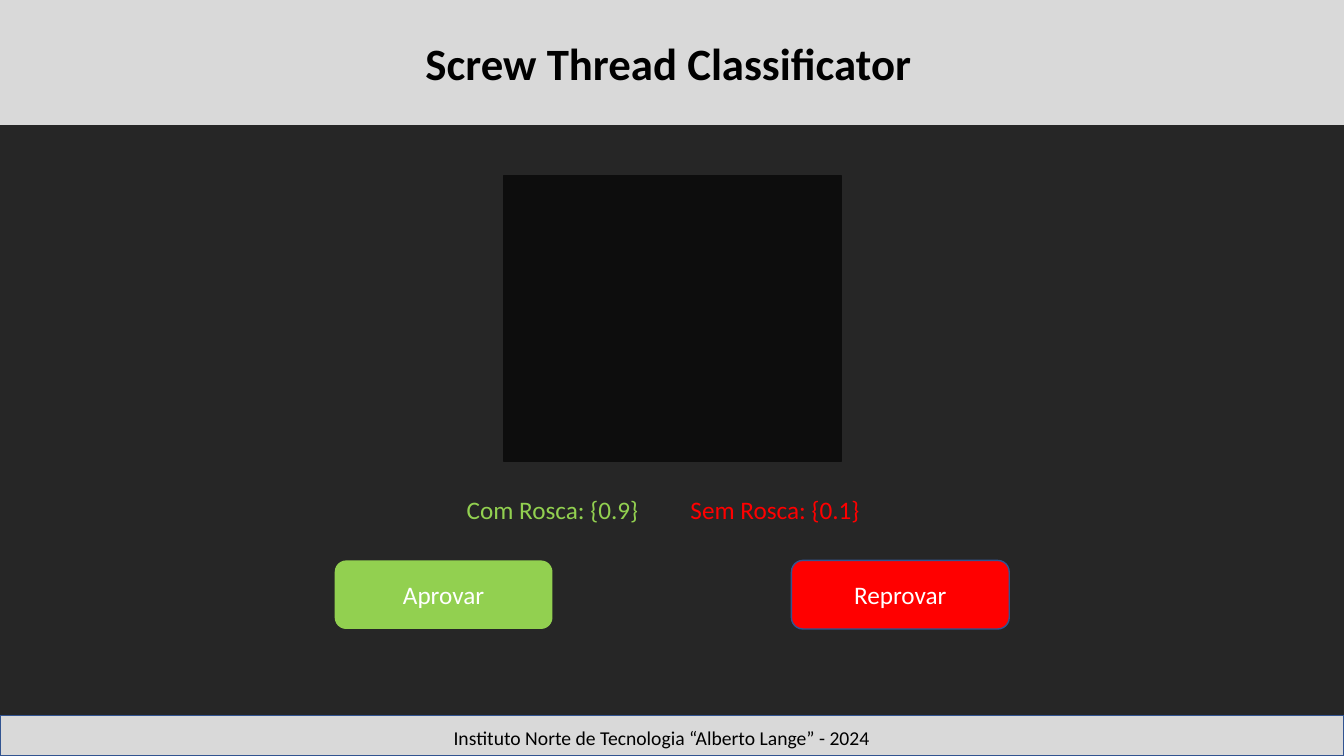
import pptx
import pptx.util
import pptx.dml.color
import pptx.enum.shapes
import pptx.enum.text

RGB = pptx.dml.color.RGBColor
FORM = pptx.enum.shapes.MSO_SHAPE
ALIGN = pptx.enum.text.PP_ALIGN
MID = pptx.enum.text.MSO_ANCHOR.MIDDLE
TOP = pptx.enum.text.MSO_ANCHOR.TOP

DARK = RGB(0x26, 0x26, 0x26)
GREY = RGB(0xD9, 0xD9, 0xD9)
NIGHT = RGB(0x0D, 0x0D, 0x0D)
GREEN = RGB(0x92, 0xD0, 0x50)
RED = RGB(0xFF, 0x00, 0x00)
BLUE = RGB(0x32, 0x54, 0x91)
WHITE = RGB(0xFF, 0xFF, 0xFF)
BLACK = RGB(0x00, 0x00, 0x00)

SCALE = 9144
WIDE, HIGH = 1333, 750


def px(*sizes):
    return [size * SCALE for size in sizes]


def write(frame, text, size=18, color=BLACK, bold=False, align=ALIGN.LEFT, anchor=TOP):
    frame.word_wrap = True
    frame.auto_size = pptx.enum.text.MSO_AUTO_SIZE.NONE
    frame.vertical_anchor = anchor
    line = frame.paragraphs[0]
    line.alignment = align
    run = line.add_run()
    run.text = text
    run.font.name = "Calibri"
    run.font.size = pptx.util.Pt(size)
    run.font.bold = bold
    run.font.color.rgb = color


class Screen:
    def __init__(self, deck):
        self.slide = deck.slides.add_slide(deck.slide_layouts[5])
        self.shapes = self.slide.shapes

    def block(self, x, y, w, h, fill, edge=None, form=FORM.RECTANGLE):
        shape = self.shapes.add_shape(form, *px(x, y, w, h))
        shape.shadow.inherit = False
        shape.fill.solid()
        shape.fill.fore_color.rgb = fill
        if edge is None:
            shape.line.fill.background()
        else:
            shape.line.color.rgb = edge
            shape.line.width = pptx.util.Pt(1)
        return shape

    def button(self, x, text, fill, edge=None):
        shape = self.block(x, 556, 216, 68, fill, edge, FORM.ROUNDED_RECTANGLE)
        write(shape.text_frame, text, color=WHITE, align=ALIGN.CENTER, anchor=MID)

    def label(self, x, y, w, h, text, **style):
        box = self.shapes.add_textbox(*px(x, y, w, h))
        write(box.text_frame, text, **style)

    def title(self, x, y, w, h, text, **style):
        head = self.shapes.title
        head.left, head.top, head.width, head.height = px(x, y, w, h)
        write(head.text_frame, text, **style)
        head.element.getparent().append(head.element)


def main():
    deck = pptx.Presentation()
    deck.slide_width, deck.slide_height = px(WIDE, HIGH)
    screen = Screen(deck)

    screen.block(0, 0, WIDE, HIGH, DARK)
    screen.block(0, 0, WIDE, 124, GREY)
    screen.block(500, 174, 334, 284, NIGHT, NIGHT)
    screen.button(332, "Aprovar", GREEN)
    screen.button(785, "Reprovar", RED, BLUE)
    screen.block(0, 710, WIDE, 40, GREY, BLUE)

    screen.title(412, 30, 509, 64, "Screw Thread Classificator", size=32, bold=True)
    screen.label(440, 715, 452, 34, "Instituto Norte de Tecnologia “Alberto Lange” - 2024", size=14)
    screen.label(453, 486, 205, 40, "Com Rosca: {0.9}", color=GREEN)
    screen.label(675, 486, 205, 40, "Sem Rosca: {0.1}", color=RED)

    deck.save("out.pptx")


if __name__ == "__main__":
    main()
